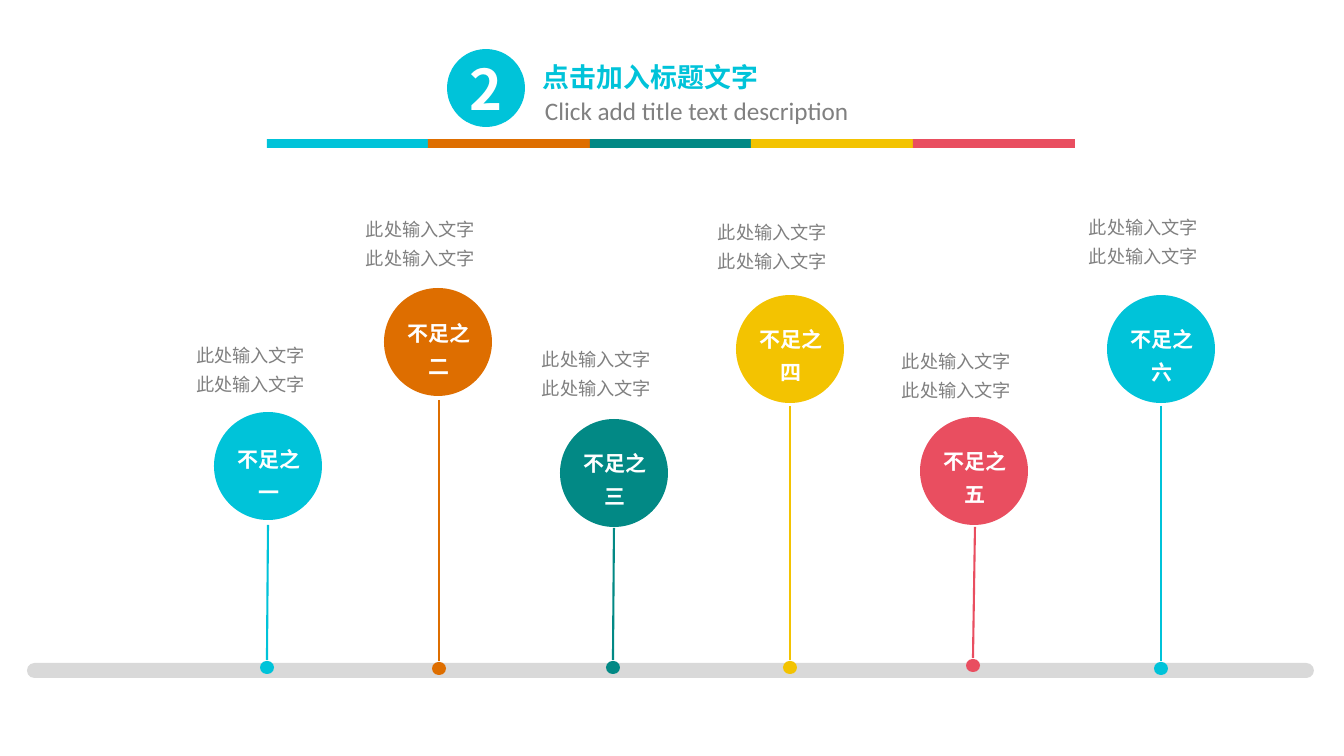
from lxml.etree import SubElement
from pptx import Presentation
from pptx.dml.color import RGBColor
from pptx.enum.shapes import MSO_CONNECTOR as Connector, MSO_SHAPE as Shape
from pptx.enum.text import MSO_ANCHOR as Anchor, MSO_AUTO_SIZE as AutoSize, PP_ALIGN as Align
from pptx.oxml.ns import qn
from pptx.util import Emu, Pt

CYAN, ORANGE, TEAL, YELLOW, RED = "00C3D9", "DE6E00", "028985", "F3C301", "E94E60"
WHITE, GREY, TRACK = "FFFFFF", "808080", "D9D9D9"
CJK, LATIN = "Noto Sans CJK SC", "Calibri"


def px(length):
    return Emu(round(length * 914400 / 100.8))


def rgb(value):
    return RGBColor.from_string(value)


class Canvas:
    def __init__(self, slide):
        self.slide = slide
        self.shapes = slide.shapes

    def group(self):
        self.shapes = self.slide.shapes.add_group_shape().shapes

    def ungroup(self):
        self.shapes = self.slide.shapes

    def shape(self, preset, left, top, width, height, fill):
        shape = self.shapes.add_shape(preset, px(left), px(top), px(width), px(height))
        shape.shadow.inherit = False
        shape.fill.solid()
        shape.fill.fore_color.rgb = rgb(fill)
        shape.line.fill.background()
        if preset == Shape.ROUNDED_RECTANGLE:
            shape.adjustments[0] = 0.5
        return shape

    def line(self, start, end, color):
        line = self.shapes.add_connector(Connector.STRAIGHT, *map(px, start + end))
        line.line.color.rgb = rgb(color)
        line.line.width = Pt(1.5)
        SubElement(line._element.spPr, qn("a:effectLst"))

    def add_lines(self, frame, lines, size, color, font=CJK, bold=False,
                  align=Align.LEFT, spacing=None, small_caps=False):
        for index, words in enumerate(lines):
            paragraph = frame.add_paragraph() if index else frame.paragraphs[0]
            paragraph.alignment = align
            if spacing:
                paragraph.line_spacing = spacing
            run = paragraph.add_run()
            run.text = words
            run.font.size = Pt(size)
            run.font.bold = bold
            run.font.name = font
            run.font.color.rgb = rgb(color)
            properties = run._r.get_or_add_rPr()
            SubElement(properties, qn("a:ea"), typeface=font)
            if small_caps:
                properties.set("cap", "small")

    def text(self, left, top, width, height, lines, size, color,
             insets=(7, 4), anchor=Anchor.TOP, grow=True, **style):
        box = self.shapes.add_textbox(px(left), px(top), px(width), px(height))
        frame = box.text_frame
        frame.word_wrap = True
        frame.auto_size = AutoSize.SHAPE_TO_FIT_TEXT if grow else AutoSize.NONE
        frame.vertical_anchor = anchor
        frame.margin_left = frame.margin_right = px(insets[0])
        frame.margin_top = frame.margin_bottom = px(insets[1])
        self.add_lines(frame, lines, size, color, **style)

    def milestone(self, numeral, color, left, top, label_top, note_top,
                  stem_top, foot, dot_top, lean):
        self.group()
        self.shape(Shape.OVAL, left, top, 108, 108, color)
        self.line((foot + lean, stem_top), (foot, dot_top - 1), color)
        self.shape(Shape.ROUNDED_RECTANGLE, foot - 7, dot_top, 14, 13, color)
        self.text(left + 18, label_top, 74, 71, ["不足之" + numeral], 15, WHITE,
                  insets=(0, 0), anchor=Anchor.MIDDLE, grow=False,
                  bold=True, align=Align.CENTER, spacing=1.3)
        self.text(left - 25, note_top, 158, 65, ["此处输入文字"] * 2, 13, GREY, spacing=1.3)
        self.ungroup()


def main():
    deck = Presentation()
    deck.slide_width, deck.slide_height = px(1344), px(756)
    canvas = Canvas(deck.slides.add_slide(deck.slide_layouts[6]))

    canvas.group()
    badge = canvas.shape(Shape.OVAL, 447, 49, 78, 78, CYAN)
    badge.text_frame.vertical_anchor = Anchor.MIDDLE
    canvas.add_lines(badge.text_frame, ["2"], 40, WHITE, bold=True, align=Align.CENTER)
    canvas.text(535, 50, 290, 48, ["点击加入标题文字"], 24, CYAN,
                insets=(8, 4), bold=True, small_caps=True)
    canvas.text(535, 90, 339, 40, ["Click add title text description"], 18, GREY,
                insets=(10, 5), font=LATIN)

    canvas.group()
    for index, color in enumerate((CYAN, ORANGE, TEAL, YELLOW, RED)):
        canvas.shape(Shape.RECTANGLE, 267 + index * 1615 // 10, 139, 162, 9, color)
    canvas.ungroup()

    canvas.shape(Shape.ROUNDED_RECTANGLE, 27, 663, 1287, 15, TRACK)
    milestones = (
        ("一", CYAN, 214, 412, 436, 334, 525, 267, 661, 1),
        ("二", ORANGE, 384, 288, 310, 208, 400, 439, 662, 0),
        ("三", TEAL, 560, 419, 440, 338, 528, 613, 661, 1),
        ("四", YELLOW, 736, 295, 316, 211, 406, 790, 661, 0),
        ("五", RED, 920, 417, 438, 340, 527, 973, 659, 2),
        ("六", CYAN, 1107, 295, 316, 206, 406, 1161, 662, 0),
    )
    for milestone in milestones:
        canvas.milestone(*milestone)

    deck.save("out.pptx")


if __name__ == "__main__":
    main()
